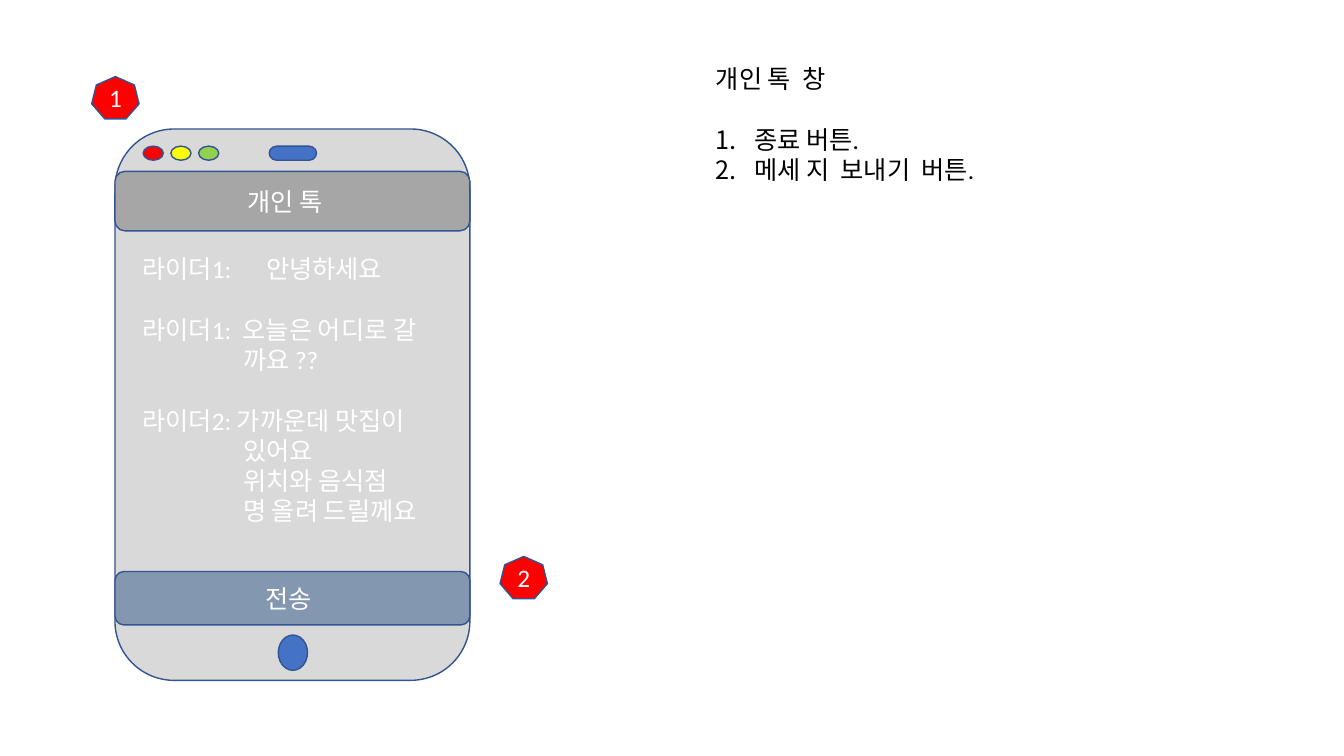
"""Build the wireframe slide of a phone's private chat window."""
import lxml.etree
import pptx
import pptx.dml.color
import pptx.enum.shapes
import pptx.enum.text
import pptx.oxml.ns
import pptx.util

Inches = pptx.util.Inches
RGBColor = pptx.dml.color.RGBColor
SHAPE = pptx.enum.shapes.MSO_SHAPE
ALIGN = pptx.enum.text.PP_ALIGN
ANCHOR = pptx.enum.text.MSO_ANCHOR

WHITE = RGBColor(0xFF, 0xFF, 0xFF)
BLACK = RGBColor(0x00, 0x00, 0x00)
OUTLINE = RGBColor(0x32, 0x54, 0x91)
PHONE_GRAY = RGBColor(0xD9, 0xD9, 0xD9)
HEADER_GRAY = RGBColor(0xA6, 0xA6, 0xA6)
SEND_BLUE = RGBColor(0x84, 0x97, 0xB0)
BUTTON_BLUE = RGBColor(0x44, 0x72, 0xC4)
RED = RGBColor(0xFF, 0x00, 0x00)
YELLOW = RGBColor(0xFF, 0xFF, 0x00)
GREEN = RGBColor(0x92, 0xD0, 0x50)

PHONE_LEFT, PHONE_WIDTH = 1.14, 3.52
LINE_HEIGHT = 21.8


def write(shape, lines, color=WHITE, align=ALIGN.LEFT, anchor=ANCHOR.MIDDLE,
          right=0.1, bottom=0.05):
    """Fill a shape with (text, space before) lines and return the paragraphs."""
    frame = shape.text_frame
    frame.word_wrap = True
    frame.auto_size = pptx.enum.text.MSO_AUTO_SIZE.NONE
    frame.vertical_anchor = anchor
    frame.margin_right, frame.margin_bottom = Inches(right), Inches(bottom)
    for index, (text, space) in enumerate(lines):
        paragraph = frame.add_paragraph() if index else frame.paragraphs[0]
        paragraph.alignment = align
        paragraph.space_before = pptx.util.Pt(space)
        run = paragraph.add_run()
        run.text = text
        run.font.name = "Calibri"
        run.font.size = pptx.util.Pt(18)
        run.font.color.rgb = color
    return frame.paragraphs


def draw(kind, left, top, width, height, fill):
    """Add an outlined preset shape measured in inches."""
    shape = slide.shapes.add_shape(
        kind, Inches(left), Inches(top), Inches(width), Inches(height))
    shape.shadow.inherit = False
    shape.fill.solid()
    shape.fill.fore_color.rgb = fill
    shape.line.color.rgb = OUTLINE
    shape.line.width = pptx.util.Pt(1)
    return shape


presentation = pptx.Presentation()
presentation.slide_width = Inches(13.33)
presentation.slide_height = Inches(7.5)
slide = presentation.slides.add_slide(presentation.slide_layouts[1])

title, button_list = slide.shapes.title, slide.placeholders[1]
for placeholder, top, height in ((title, 0.58, 0.4), (button_list, 1.18, 1.02)):
    placeholder.left, placeholder.top = Inches(7), Inches(top)
    placeholder.width, placeholder.height = Inches(4.57), Inches(height)
write(title, [("개인 톡  창", 0)], color=BLACK, anchor=ANCHOR.TOP)
items = write(button_list, [("종료 버튼.", 0), ("메세 지  보내기  버튼.", 0)],
              color=BLACK, anchor=ANCHOR.TOP)
for item in items:
    properties = item._p.get_or_add_pPr()
    properties.set("marL", str(Inches(0.38)))
    properties.set("indent", str(Inches(-0.38)))
    for tag, name, value in (("a:buFont", "typeface", "Calibri"),
                             ("a:buAutoNum", "type", "arabicPeriod")):
        lxml.etree.SubElement(properties, pptx.oxml.ns.qn(tag)).set(name, value)

phone = draw(SHAPE.ROUNDED_RECTANGLE, PHONE_LEFT, 1.28, PHONE_WIDTH, 5.47, PHONE_GRAY)
messages = write(phone, [
    ("라이더1:\t안녕하세요", 0),
    ("라이더1:  오늘은 어디로 갈", LINE_HEIGHT),
    ("까요 ??", 0),
    ("라이더2: 가까운데 맛집이", LINE_HEIGHT),
    ("있어요", 0),
    ("위치와 음식점", 0),
    ("명 올려 드릴께요", 0),
], bottom=0.35)
for message in messages:
    if not message.text.startswith("라이더"):
        message._p.get_or_add_pPr().set("marL", str(Inches(1)))
tab_list = lxml.etree.SubElement(
    messages[0]._p.get_or_add_pPr(), pptx.oxml.ns.qn("a:tabLst"))
tab = lxml.etree.SubElement(tab_list, pptx.oxml.ns.qn("a:tab"))
tab.set("pos", str(Inches(1.23)))
tab.set("algn", "l")

for text, top, height, fill, right in (
        ("개인 톡", 1.7, 0.59, HEADER_GRAY, 0.24),
        ("전송", 5.67, 0.53, SEND_BLUE, 0.18)):
    bar = draw(SHAPE.ROUNDED_RECTANGLE, PHONE_LEFT, top, PHONE_WIDTH, height, fill)
    write(bar, [(text, 0)], align=ALIGN.CENTER, right=right)

for index, light in enumerate((RED, YELLOW, GREEN)):
    draw(SHAPE.OVAL, 1.42 + 0.275 * index, 1.45, 0.2, 0.14, light)
draw(SHAPE.OVAL, 2.76, 6.3, 0.29, 0.35, BUTTON_BLUE)
draw(SHAPE.FLOWCHART_TERMINATOR, 2.67, 1.45, 0.47, 0.14, BUTTON_BLUE)

for number, left, top in (("1", 0.91, 0.76), ("2", 4.96, 5.52)):
    marker = draw(SHAPE.HEPTAGON, left, top, 0.47, 0.42, RED)
    write(marker, [(number, 0)], align=ALIGN.CENTER)

presentation.save("out.pptx")
